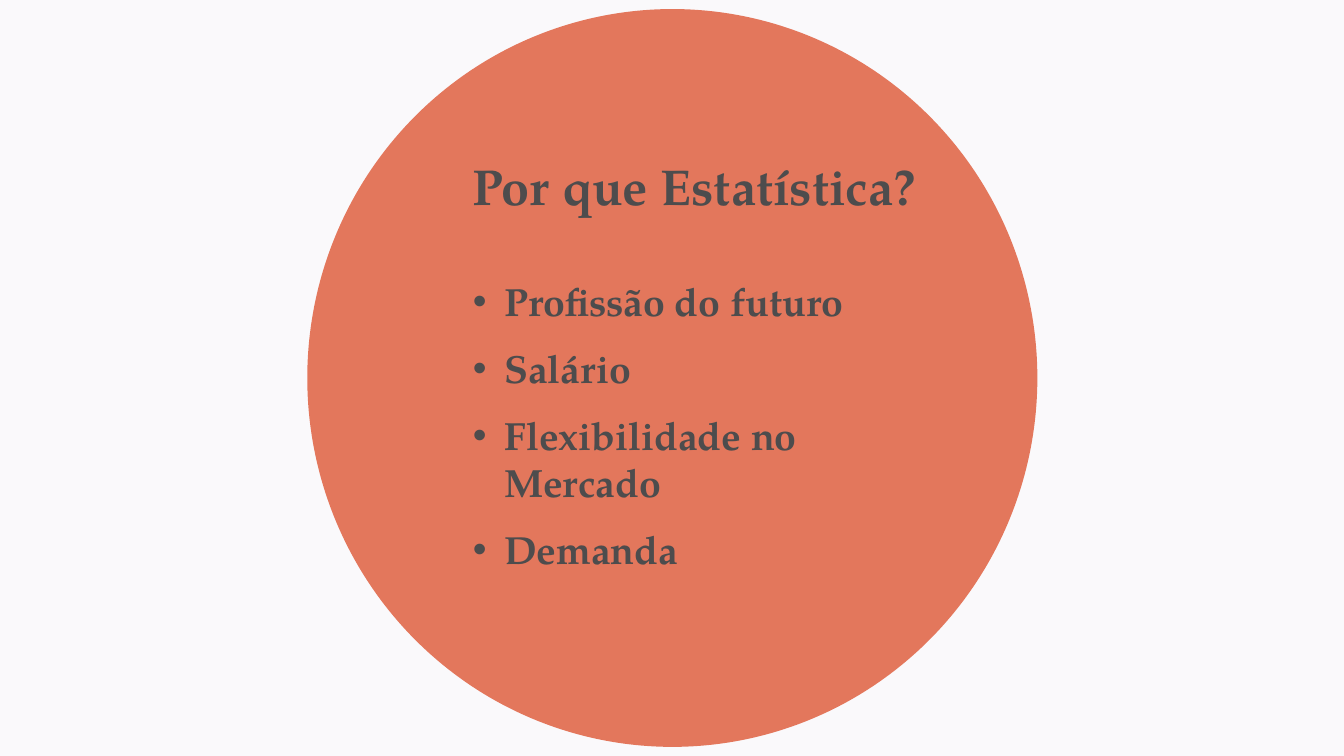
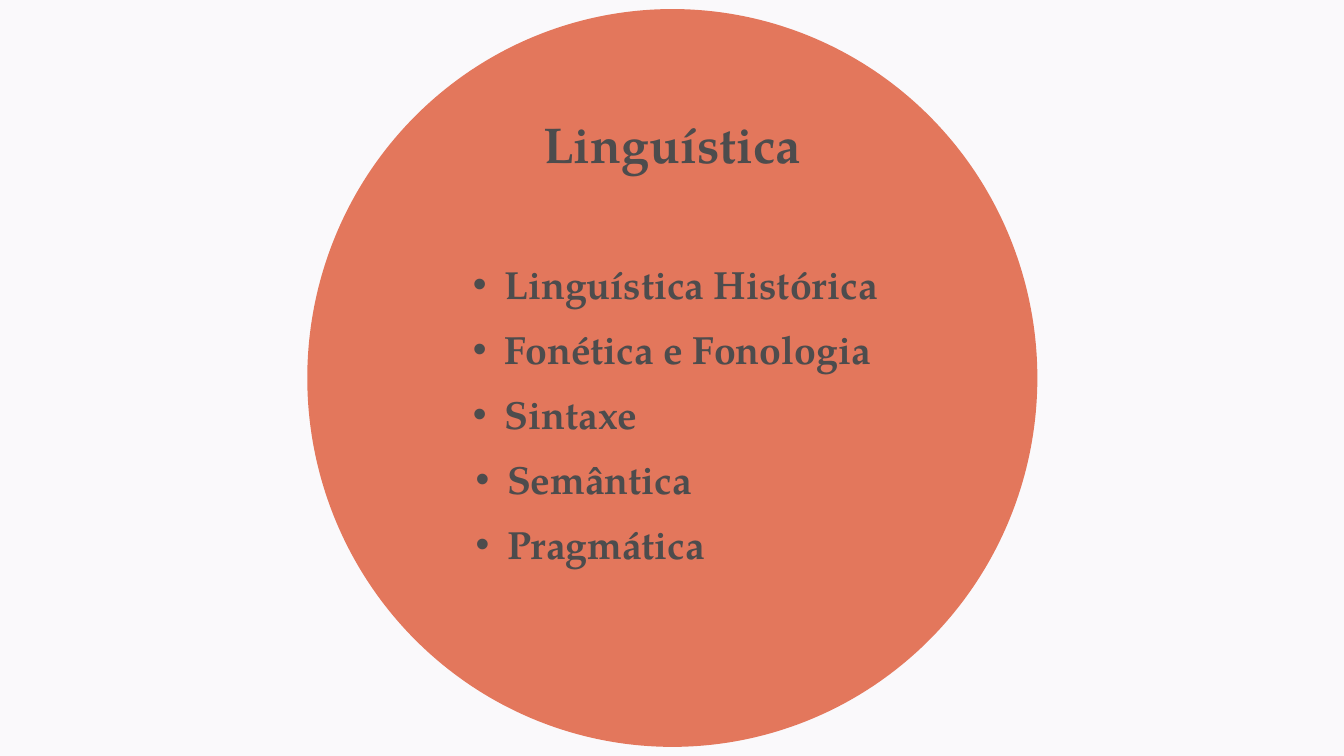
from lxml import etree
from pptx import Presentation
from pptx.dml.color import RGBColor
from pptx.enum import shapes, text
from pptx.oxml.ns import qn
from pptx.util import Pt

# Shared style
FONT = "TeX Gyre Pagella"
PAPER, CORAL, INK = "FAF9FB", "E3775C", "4D4C4D"
PAGE_WIDTH, PAGE_HEIGHT = 960, 540
CIRCLE = (219.5, 6.5, 521.5, 527)
TITLE_WIDTH, TITLE_HEIGHT = 400, 75
LIST_LEFT, LIST_WIDTH, LIST_HEIGHT = 330.5, 348.5, 245
BULLET_INDENT = 22.5

# Title, title centre, title top, list top, gap between items, (item, extra indent)
PAGES = [
    ("Por que Estatística?", 496, 107.5, 194.5, 14.2,
     [("Profissão do futuro", 0), ("Salário", 0),
      ("Flexibilidade no Mercado", 0), ("Demanda", 0)]),
    ("Linguística", 480, 77, 182.5, 12.8,
     [("Linguística Histórica", 0), ("Fonética e Fonologia", 0),
      ("Sintaxe", 0), ("Semântica", 2), ("Pragmática", 2)]),
]


def color(value):
    return RGBColor.from_string(value)


def place(shape, left, top, width, height):
    shape.left, shape.top = Pt(left), Pt(top)
    shape.width, shape.height = Pt(width), Pt(height)


def add_circle(page):
    circle = page.shapes.add_shape(shapes.MSO_SHAPE.OVAL, *map(Pt, CIRCLE))
    circle.shadow.inherit = False
    circle.fill.solid()
    circle.fill.fore_color.rgb = color(CORAL)
    circle.line.fill.background()
    # Behind the placeholders
    circle.element.getparent().insert(2, circle.element)


def prepare_frame(shape):
    frame = shape.text_frame
    frame.word_wrap = True
    frame.auto_size = text.MSO_AUTO_SIZE.NONE
    frame.vertical_anchor = text.MSO_ANCHOR.TOP
    return frame


def add_span(para, words, size):
    para.line_spacing = 1.0
    span = para.add_run()
    span.text = words
    span.font.name = FONT
    span.font.size = Pt(size)
    span.font.bold = True
    span.font.color.rgb = color(INK)


def set_bullet(para, indent):
    properties = para._p.get_or_add_pPr()
    properties.set("marL", str(Pt(indent)))
    properties.set("indent", str(-Pt(BULLET_INDENT)))
    etree.SubElement(properties, qn("a:buFont")).set("typeface", "Arial")
    etree.SubElement(properties, qn("a:buChar")).set("char", "•")


def fill_title(page, words, center, top):
    title = page.shapes.title
    place(title, center - TITLE_WIDTH / 2, top, TITLE_WIDTH, TITLE_HEIGHT)
    para = prepare_frame(title).paragraphs[0]
    para.alignment = text.PP_ALIGN.CENTER
    add_span(para, words, 36)


def fill_list(page, items, top, gap):
    body = page.placeholders[1]
    place(body, LIST_LEFT, top, LIST_WIDTH, LIST_HEIGHT)
    frame = prepare_frame(body)
    for index, (words, extra) in enumerate(items):
        para = frame.add_paragraph() if index else frame.paragraphs[0]
        set_bullet(para, BULLET_INDENT + extra)
        para.space_before = Pt(gap if index else 0)
        add_span(para, words, 28)


def main():
    deck = Presentation()
    deck.slide_width, deck.slide_height = Pt(PAGE_WIDTH), Pt(PAGE_HEIGHT)
    background = deck.slide_master.background.fill
    background.solid()
    background.fore_color.rgb = color(PAPER)

    for title, center, title_top, list_top, gap, items in PAGES:
        page = deck.slides.add_slide(deck.slide_layouts[1])
        add_circle(page)
        fill_title(page, title, center, title_top)
        fill_list(page, items, list_top, gap)

    deck.save("out.pptx")


if __name__ == "__main__":
    main()
